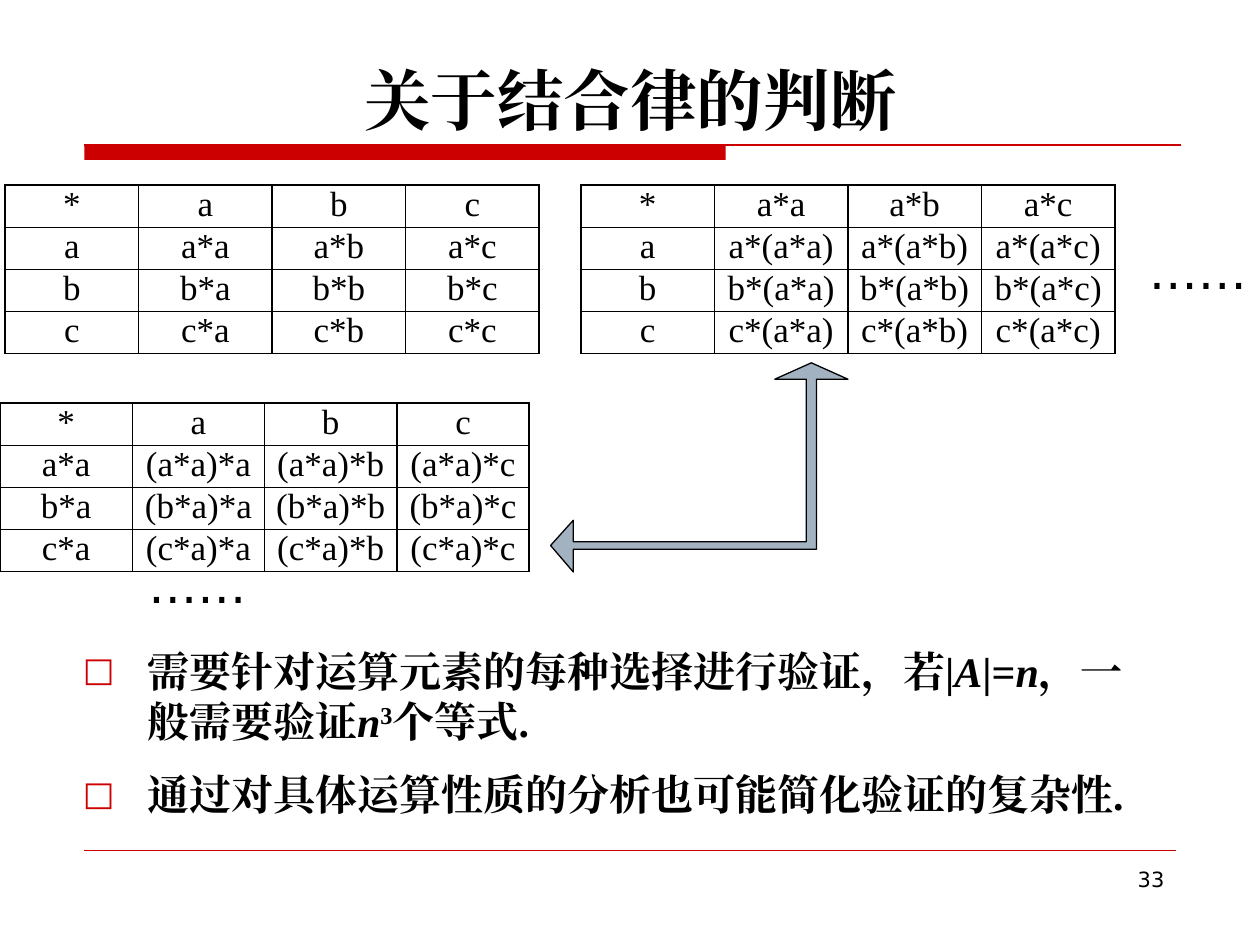
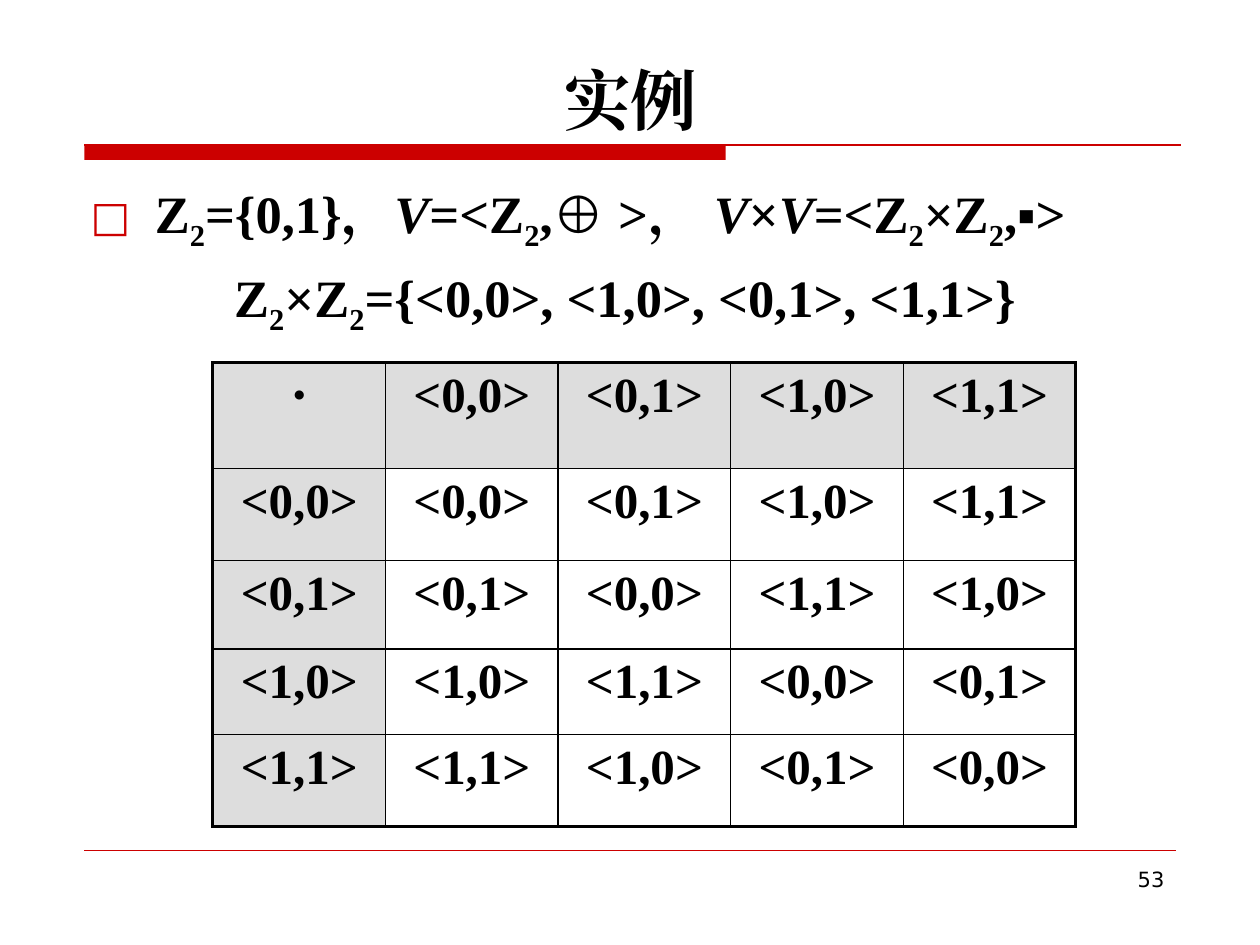
from itertools import product

from lxml.etree import SubElement
from pptx import Presentation
from pptx.dml.color import RGBColor
from pptx.enum.shapes import MSO_CONNECTOR as Connector, MSO_SHAPE as Shape
from pptx.enum.text import MSO_ANCHOR as Anchor, PP_ALIGN as Align
from pptx.oxml import parse_xml
from pptx.oxml.ns import nsdecls, qn
from pptx.util import Inches, Pt

RED = RGBColor(0xCC, 0x00, 0x00)
BLACK = RGBColor(0x00, 0x00, 0x00)
STEEL = RGBColor(0xA3, 0xB2, 0xC1)
GREY = RGBColor(0xDD, 0xDD, 0xDD)
SERIF, SANS = "Times New Roman", "DejaVu Sans"

# The grid has ten columns and seven and a half rows, each one inch
COLUMNS, ROWS = 10, 7.5
LEFT, RIGHT = 0.67, 9.37
TITLE_BOX = (0.63, 0.33, 8.75, 0.82)
NUMBER_BOX = (7.17, 6.83, 2.17, 0.52)
BAND_TOP, FOOTER_TOP = 1.15, 6.75
HANGING = 0.51
SUBSCRIPT, SUPERSCRIPT = "-25000", "30000"


def write_text(paragraphs, slide=None, box=None, frame=None, size=24, font=SERIF,
               bold=False, align=Align.LEFT, anchor=Anchor.TOP, bullets=(),
               margin=0, space_before=0):
    """Each paragraph is a string or a list of (text, style) runs."""
    if frame is None:
        frame = slide.shapes.add_textbox(*map(Inches, box)).text_frame
        frame.vertical_anchor = anchor
        frame.word_wrap = True
    for index, runs in enumerate(paragraphs):
        paragraph = frame.paragraphs[0] if index == 0 else frame.add_paragraph()
        paragraph.alignment = align
        if index:
            paragraph.space_before = Pt(space_before)
        properties = paragraph._p.get_or_add_pPr()
        if index in bullets:
            properties.set("marL", str(Inches(HANGING)))
            properties.set("indent", str(-Inches(HANGING)))
            color = SubElement(properties, qn("a:buClr"))
            SubElement(color, qn("a:srgbClr"), val=str(RED))
            SubElement(properties, qn("a:buSzPct"), val="80000")
            SubElement(properties, qn("a:buFont"), typeface=SANS)
            SubElement(properties, qn("a:buChar"), char="□")
        elif margin:
            properties.set("marL", str(Inches(margin)))
        for text, style in [(runs, "")] if isinstance(runs, str) else runs:
            run = paragraph.add_run()
            run.text = text
            run.font.size = Pt(size)
            run.font.bold = bold
            run.font.italic = style == "italic"
            run.font.color.rgb = BLACK
            run.font.name = font
            SubElement(run.font._element, qn("a:ea"), typeface=font)
            if style in (SUBSCRIPT, SUPERSCRIPT):
                run.font._element.set("baseline", style)
    return frame


def add_grid(slide, left, top, column_width, row_heights, values, size,
             bold=False, insets=(0.1, 0.05), outer=1, header_fill=None):
    row_count, column_count = len(values), len(values[0])
    table = slide.shapes.add_table(
        row_count, column_count, Inches(left), Inches(top),
        Inches(column_width * column_count), Inches(sum(row_heights))).table
    table.first_row = table.horz_banding = False
    for column in table.columns:
        column.width = Inches(column_width)
    for row, height in zip(table.rows, row_heights):
        row.height = Inches(height)
    for r, c in product(range(row_count), range(column_count)):
        cell = table.cell(r, c)
        cell.margin_left = cell.margin_right = Inches(insets[0])
        cell.margin_top = cell.margin_bottom = Inches(insets[1])
        write_text([values[r][c]], frame=cell.text_frame, size=size, bold=bold,
                   align=Align.CENTER)
        if header_fill and 0 in (r, c):
            cell.fill.solid()
            cell.fill.fore_color.rgb = header_fill
        else:
            cell.fill.background()
        on_edge = {"L": c == 0, "R": c == column_count - 1,
                   "T": r == 0, "B": r == row_count - 1}
        for position, (side, outside) in enumerate(on_edge.items()):
            width = Pt(outer if outside else 1)
            border = parse_xml(
                f'<a:ln{side} {nsdecls("a")} w="{width}"><a:solidFill>'
                f'<a:srgbClr val="{BLACK}"/></a:solidFill></a:ln{side}>')
            cell._tc.get_or_add_tcPr().insert(position, border)


presentation = Presentation()
presentation.slide_width = Inches(COLUMNS)
presentation.slide_height = Inches(ROWS)

# Shared title, red band, rules and page number
slides = []
for title, number in (("关于结合律的判断", "33"), ("实例", "53")):
    slide = presentation.slides.add_slide(presentation.slide_layouts[6])
    slides.append(slide)
    band = slide.shapes.add_shape(
        Shape.RECTANGLE, *map(Inches, (LEFT, BAND_TOP, 5.09, 0.12)))
    band.shadow.inherit = False
    band.fill.solid()
    band.fill.fore_color.rgb = RED
    band.line.fill.background()
    for y, end, width in ((BAND_TOP, RIGHT, 0.75), (FOOTER_TOP, 9.33, 0.25)):
        rule = slide.shapes.add_connector(
            Connector.STRAIGHT, *map(Inches, (LEFT, y, end, y)))
        rule.line.color.rgb = RED
        rule.line.width = Pt(width)
        SubElement(rule._element.spPr, qn("a:effectLst"))
    write_text([title], slide, TITLE_BOX, size=38, bold=True,
               align=Align.CENTER, anchor=Anchor.BOTTOM)
    write_text([number], slide, NUMBER_BOX, size=12, font=SANS, align=Align.RIGHT)

associativity, example = slides

# Operation tables for the associativity check
elements = "abc"
plain = [["*", *elements]] + [
    [x, *(f"{x}*{y}" for y in elements)] for x in elements]
right_grouped = [["*", *(f"a*{y}" for y in elements)]] + [
    [x, *(f"{x}*(a*{y})" for y in elements)] for x in elements]
left_grouped = [["*", *elements]] + [
    [f"{x}*a", *(f"({x}*a)*{y}" for y in elements)] for x in elements]
for left, top, column_width, values in (
        (0.04, 1.47, 1.06, plain),
        (4.61, 1.47, 1.06, right_grouped),
        (0, 3.2, 1.05, left_grouped)):
    add_grid(associativity, left, top, column_width, [0.31] * 4, values, 20,
             insets=(0.07, 0))

# Bent double arrow between the two grouped tables
outline = [(6.44, 2.88), (6.15, 3.01), (6.4, 3.01), (6.4, 4.3), (4.55, 4.3),
           (4.55, 4.13), (4.37, 4.33), (4.55, 4.54), (4.55, 4.36), (6.48, 4.36),
           (6.48, 3.01), (6.73, 3.01)]
points = [(Inches(x), Inches(y)) for x, y in outline]
builder = associativity.shapes.build_freeform(*points[0])
builder.add_line_segments(points[1:], close=True)
arrow = builder.convert_to_shape()
arrow.shadow.inherit = False
arrow.fill.solid()
arrow.fill.fore_color.rgb = STEEL
arrow.line.color.rgb = BLACK
arrow.line.width = Pt(0.75)

# Ellipses after the tables
for left, top in ((9.02, 1.86), (1.08, 4.35)):
    dots = write_text(["……"], associativity, (left, top, 0.98, 0.57),
                      size=28, font=SANS)
    dots.margin_right = 0

# Conclusions
write_text([
    [("需要针对运算元素的每种选择进行验证，若|", ""), ("A", "italic"), ("|=", ""),
     ("n", "italic"), ("，一般需要验证", ""), ("n", "italic"),
     ("3", SUPERSCRIPT), ("个等式.", "")],
    "通过对具体运算性质的分析也可能简化验证的复杂性.",
], associativity, (0.56, 5.07, 8.46, 1.81), bold=True, bullets=(0, 1), space_before=13)

# Definition of the product system
two = ("2", SUBSCRIPT)
write_text([
    [("Z", ""), two, ("={0,1}，", ""), ("V", "italic"), ("=<Z", ""), two,
     (",⊕ >， ", ""), ("V", "italic"), ("×", ""), ("V", "italic"), ("=<Z", ""), two,
     ("×Z", ""), two, (",▪>", "")],
    [("Z", ""), two, ("×Z", ""), two, ("={<0,0>, <1,0>, <0,1>, <1,1>}", "")],
], example, (0.62, 1.39, 8.75, 5.27), size=30, bold=True, bullets=(0,),
    margin=1.14, space_before=7)

# Operation table of the product: componentwise sum modulo 2
pairs = [f"<{x},{y}>" for x, y in product((0, 1), repeat=2)]
sums = [["⋅", *pairs]] + [
    [pair, *(pairs[i ^ j] for j in range(4))] for i, pair in enumerate(pairs)]
add_grid(example, 1.69, 2.88, 1.37, [0.84, 0.73, 0.7, 0.68, 0.73], sums, 28,
         bold=True, outer=2, header_fill=GREY)

presentation.save("out.pptx")
